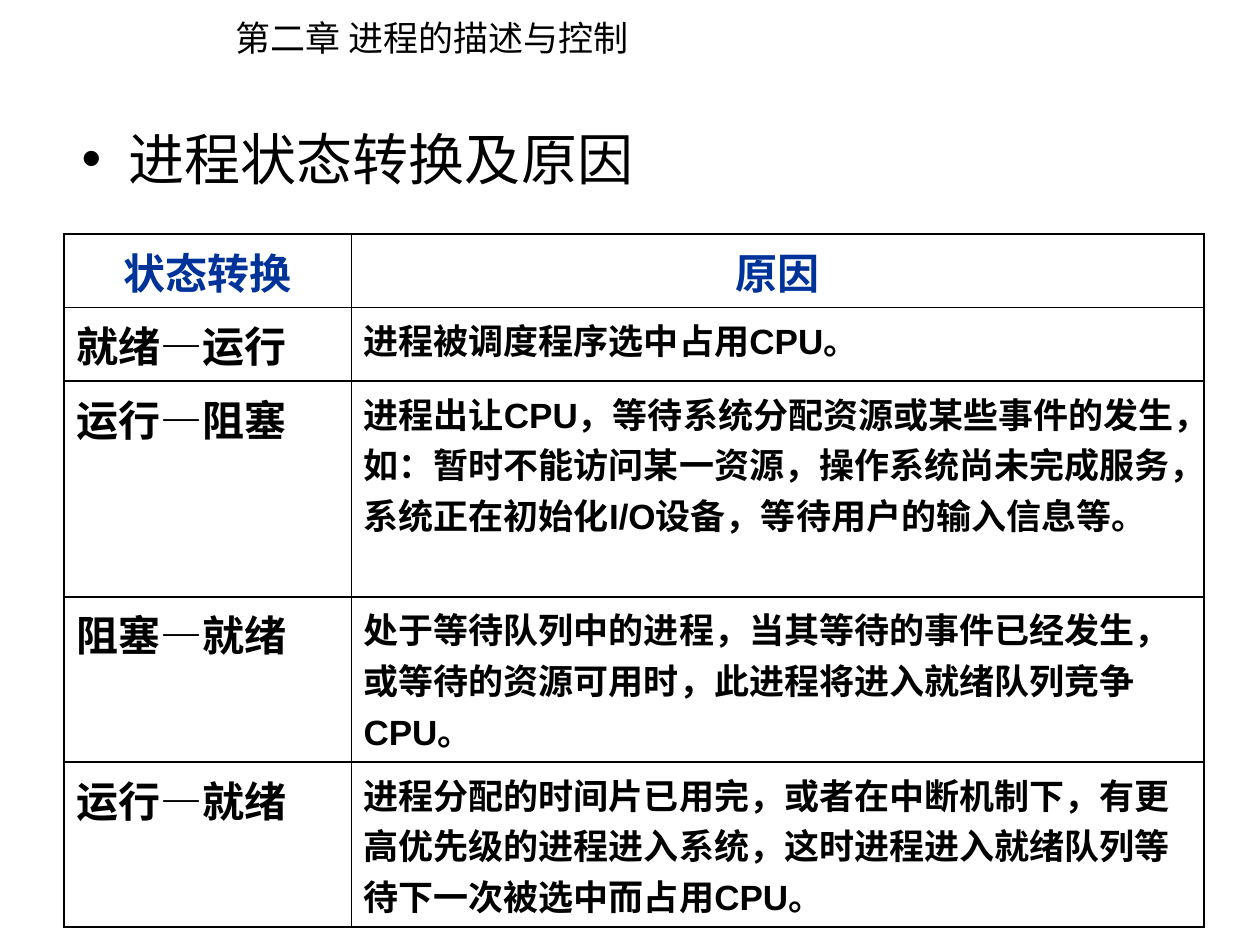
from lxml import etree
from pptx import Presentation
from pptx.dml.color import RGBColor
from pptx.enum.text import MSO_ANCHOR, MSO_AUTO_SIZE, PP_ALIGN
from pptx.oxml.ns import qn
from pptx.util import Pt

PX = 914400 // 126
BLACK = RGBColor(0x00, 0x00, 0x00)
BLUE = RGBColor(0x00, 0x33, 0x99)
LEFT, CENTER = PP_ALIGN.LEFT, PP_ALIGN.CENTER
TOP = MSO_ANCHOR.TOP
FIT = MSO_AUTO_SIZE.SHAPE_TO_FIT_TEXT
HAN = "Noto Sans CJK SC"

COLS = [287, 853]
HEIGHTS = [73, 63, 146, 139, 139]
ROWS = [
    ("状态转换", "原因"),
    ("就绪—运行", "进程被调度程序选中占用CPU。"),
    ("运行—阻塞", "进程出让CPU，等待系统分配资源或某些事件的发生，如：暂时不能访问某一资源，"
     "操作系统尚未完成服务，系统正在初始化I/O设备，等待用户的输入信息等。"),
    ("阻塞—就绪", "处于等待队列中的进程，当其等待的事件已经发生，或等待的资源可用时，"
     "此进程将进入就绪队列竞争CPU。"),
    ("运行—就绪", "进程分配的时间片已用完，或者在中断机制下，有更高优先级的进程进入系统，"
     "这时进程进入就绪队列等待下一次被选中而占用CPU。"),
]


def place(shape, *box):
    shape.left, shape.top, shape.width, shape.height = (n * PX for n in box)


def write(frame, text, size, face, color=BLACK, bold=False, align=LEFT):
    frame.text = text
    para = frame.paragraphs[0]
    para.alignment = align
    para.space_before = Pt(0)
    for run in para.runs:
        font = run.font
        font.size, font.name, font.bold = Pt(size), face, bold
        font.color.rgb = color
        asian = etree.SubElement(run._r.get_or_add_rPr(), qn("a:ea"))
        asian.set("typeface", HAN)


def add_edge(cell, side, width):
    line = etree.SubElement(cell._tc.get_or_add_tcPr(), qn("a:ln" + side))
    line.set("w", str(Pt(width)))
    fill = etree.SubElement(line, qn("a:solidFill"))
    etree.SubElement(fill, qn("a:srgbClr")).set("val", str(BLACK))


def add_head(slide):
    head = slide.shapes.title
    place(head, 223, 10, 426, 55)
    frame = head.text_frame
    write(frame, "第二章 进程的描述与控制", 20, HAN)
    frame.word_wrap = False
    frame.auto_size = FIT
    frame.vertical_anchor = TOP


def add_topic(slide):
    body = slide.placeholders[1]
    place(body, 69, 118, 1071, 567)
    write(body.text_frame, "进程状态转换及原因", 32, "Times New Roman")


def add_grid(slide):
    frame = slide.shapes.add_table(
        len(ROWS), len(COLS), 64 * PX, 234 * PX, sum(COLS) * PX, sum(HEIGHTS) * PX)
    table = frame.table
    table.first_row = table.horz_banding = False
    for col, width in zip(table.columns, COLS):
        col.width = width * PX
    for row, height, texts in zip(table.rows, HEIGHTS, ROWS):
        row.height = height * PX
        top = texts is ROWS[0]
        for i, (cell, text) in enumerate(zip(row.cells, texts)):
            write(cell.text_frame, text, 24 if top or i == 0 else 20, "Arial",
                  BLUE if top else BLACK, True, CENTER if top else LEFT)
            cell.vertical_anchor = TOP
            inner = "R" if i == 0 else "L"
            for side in "LRTB":
                add_edge(cell, side, 0.45 if side == inner else 1.08)
            cell.fill.background()


def main():
    deck = Presentation()
    deck.slide_width, deck.slide_height = 1260 * PX, 945 * PX
    slide = deck.slides.add_slide(deck.slide_layouts[1])
    add_head(slide)
    add_topic(slide)
    add_grid(slide)
    deck.save("out.pptx")


if __name__ == "__main__":
    main()
